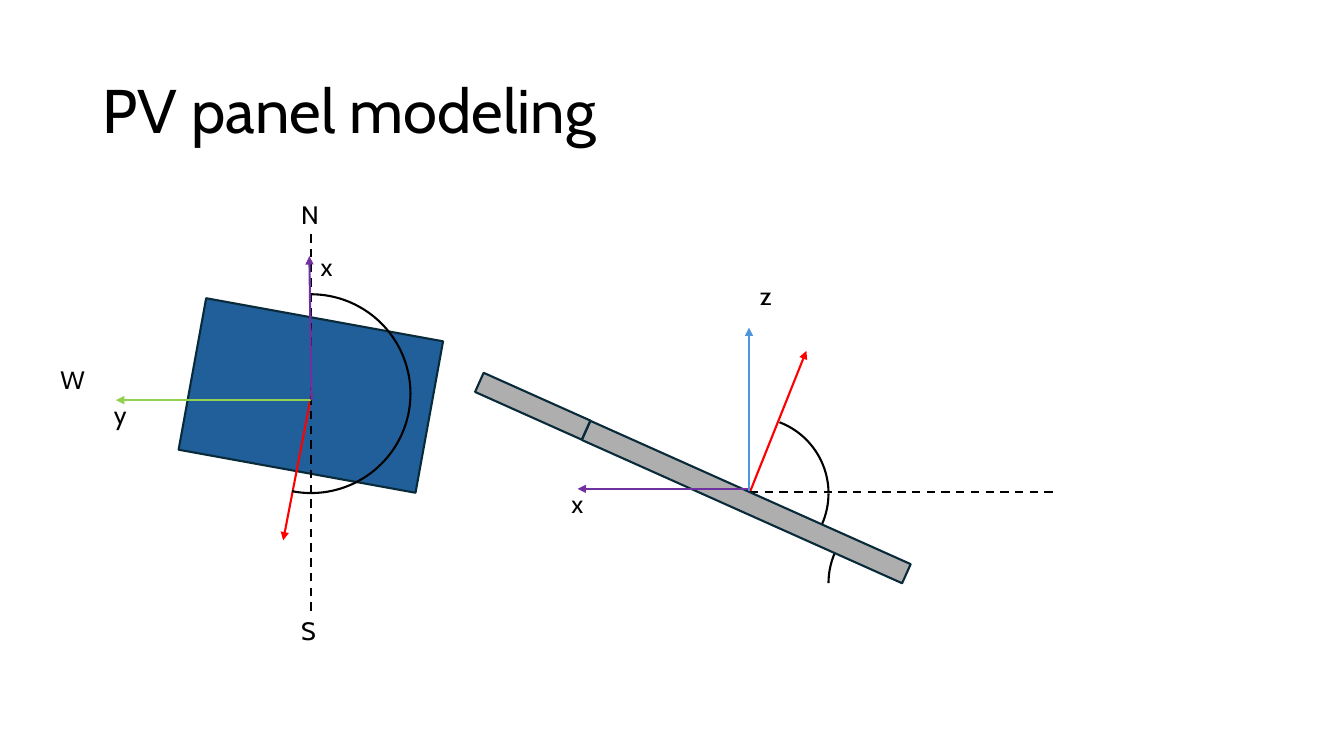
from pptx import Presentation
from pptx.dml.color import RGBColor
from pptx.enum.dml import MSO_LINE
from pptx.enum.shapes import MSO_CONNECTOR, MSO_SHAPE
from pptx.enum.text import MSO_ANCHOR, MSO_AUTO_SIZE, PP_ALIGN
from pptx.oxml.ns import qn
from pptx.util import Pt
from lxml.etree import SubElement

FONT = "Cabin"
BLACK = RGBColor(0x00, 0x00, 0x00)
PANEL_BLUE = RGBColor(0x21, 0x5F, 0x9A)
PANEL_GREY = RGBColor(0xAE, 0xAE, 0xAE)
PANEL_EDGE = RGBColor(0x09, 0x2A, 0x39)
NORMAL_RED = RGBColor(0xFF, 0x00, 0x00)
X_PURPLE = RGBColor(0x70, 0x30, 0xA0)
Y_GREEN = RGBColor(0x92, 0xD0, 0x50)
Z_BLUE = RGBColor(0x4E, 0x95, 0xD9)


def add_outline(group, kind, left, top, width, height, rotation, edge, fill=None, angles=()):
    shape = group.shapes.add_shape(kind, Pt(left), Pt(top), Pt(width), Pt(height))
    shape.rotation = rotation
    shape.shadow.inherit = False
    for index, angle in enumerate(angles):
        shape.adjustments[index] = angle * 0.6
    if fill is None:
        shape.fill.background()
    else:
        shape.fill.solid()
        shape.fill.fore_color.rgb = fill
    shape.line.color.rgb = edge
    shape.line.width = Pt(1.5)


def add_line(group, start, end, color, dashed=False):
    line = group.shapes.add_connector(
        MSO_CONNECTOR.STRAIGHT, *[Pt(value) for value in (*start, *end)])
    line.line.color.rgb = color
    line.line.width = Pt(1.5)
    if dashed:
        line.line.dash_style = MSO_LINE.DASH
    else:
        SubElement(line.line._get_or_add_ln(), qn("a:tailEnd"), type="triangle")
    SubElement(line._element.spPr, qn("a:effectLst"))


deck = Presentation()
deck.slide_width = Pt(960)
deck.slide_height = Pt(540)
page = deck.slides.add_slide(deck.slide_layouts[5])

title = page.shapes.title
title.left, title.top, title.width, title.height = Pt(66), Pt(28.75), Pt(828), Pt(104.4)
title.text_frame.text = "PV panel modeling"
title.text_frame.vertical_anchor = MSO_ANCHOR.MIDDLE
para = title.text_frame.paragraphs[0]
para.alignment = PP_ALIGN.LEFT
para.line_spacing = 0.9
para.font.name = FONT
para.font.size = Pt(44)
para.font.color.rgb = BLACK

top_view = page.shapes.add_group_shape()
top_center = (222.5, 285.8)
add_outline(top_view, MSO_SHAPE.RECTANGLE, 136, 227.5, 172, 110, 190.3, PANEL_EDGE, PANEL_BLUE)
add_line(top_view, (222.5, 281.5), (202.3, 386), NORMAL_RED)
add_line(top_view, (222, 436.3), (222, 167), BLACK, dashed=True)
add_outline(top_view, MSO_SHAPE.ARC, 151.2, 210.2, 142, 142, 0, BLACK, angles=(270, 101))
add_line(top_view, top_center, (82.8, 285.8), Y_GREEN)
add_line(top_view, top_center, (221, 183), X_PURPLE)

side_view = page.shapes.add_group_shape()
side_center = (535.7, 351.4)
add_line(side_view, side_center, (576, 250.6), NORMAL_RED)
add_line(side_view, side_center, (754.6, 351.4), BLACK, dashed=True)
for left, top, rotation, angles in [
    (591.8, 362.2, 270, (270, 293.16)),
    (483.1, 298.1, 45, (245.84, 314.66)),
    (483.1, 298.1, 90, (270, 294.48)),
]:
    add_outline(side_view, MSO_SHAPE.ARC, left, top, 108.7, 108.7, rotation, BLACK, angles=angles)
for left, top, length in [(525.6, 233.3, 250.6), (373, 248.4, 83.5)]:
    add_outline(side_view, MSO_SHAPE.RECTANGLE, left, top, 15, length, 294.1, PANEL_EDGE, PANEL_GREY)
add_line(side_view, (535, 349.2), (412.6, 349.2), X_PURPLE)
add_line(side_view, (535, 350.6), (535, 234), Z_BLUE)

for group, text, left, top in [
    (top_view, "N", 208, 139),
    (top_view, "S", 208, 436.3),
    (top_view, "W", 36, 257),
    (top_view, "x", 222, 175.7),
    (top_view, "y", 74.2, 281.5),
    (side_view, "x", 401, 345),
    (side_view, "z", 535.7, 196.6),
]:
    box = group.shapes.add_textbox(Pt(left), Pt(top), Pt(30), Pt(29))
    box.text_frame.text = text
    box.text_frame.word_wrap = True
    box.text_frame.auto_size = MSO_AUTO_SIZE.SHAPE_TO_FIT_TEXT
    span = box.text_frame.paragraphs[0].runs[0]
    span.font.name = FONT
    span.font.size = Pt(18)
    span.font.color.rgb = BLACK

deck.save("out.pptx")
